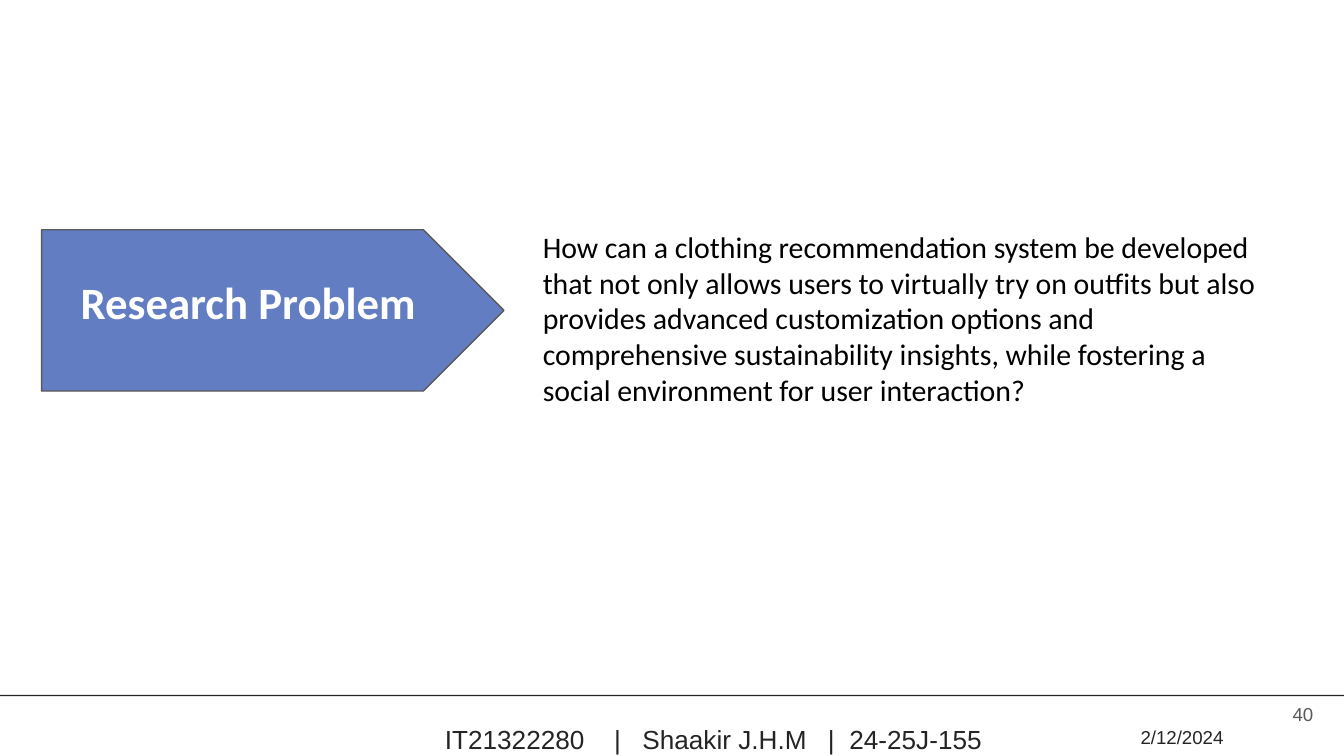
from dataclasses import dataclass

from lxml.etree import SubElement
from pptx import Presentation
from pptx.dml.color import RGBColor
from pptx.enum.shapes import MSO_SHAPE as Preset
from pptx.enum.text import MSO_ANCHOR as Anchor, MSO_AUTO_SIZE as AutoSize, PP_ALIGN as Align
from pptx.oxml.ns import qn
from pptx.util import Inches, Pt


@dataclass(frozen=True)
class Theme:
    """Colours, fonts and type sizes of the deck."""
    accent: str = "627DC2"
    dark: str = "242424"
    grey: str = "595959"
    white: str = "FFFFFF"
    black: str = "000000"
    body_font: str = "Calibri"
    footer_font: str = "Arial"
    title_size: int = 24
    body_size: int = 16
    footer_size: int = 14
    small_size: int = 10


THEME = Theme()


def place(shape, left, top, width, height):
    """Move and size a shape, in inches."""
    shape.left, shape.top = Inches(left), Inches(top)
    shape.width, shape.height = Inches(width), Inches(height)


def write(shape, text, *, font, size, color, bold=False, align=Align.LEFT,
          anchor=Anchor.TOP, inset=0.1, left_inset=None, spacing=1.0, tabs=()):
    """Write one formatted paragraph into a shape."""
    frame = shape.text_frame
    frame.word_wrap = True
    frame.auto_size = AutoSize.NONE
    frame.vertical_anchor = anchor
    frame.margin_top = frame.margin_right = frame.margin_bottom = Inches(inset)
    frame.margin_left = Inches(inset if left_inset is None else left_inset)
    para = frame.paragraphs[0]
    para.alignment = align
    para.line_spacing = spacing
    if tabs:
        stops = SubElement(para._p.get_or_add_pPr(), qn("a:tabLst"))
        for stop in tabs:
            SubElement(stops, qn("a:tab"), pos=str(Inches(stop)), algn="l")
    span = para.add_run()
    span.text = text
    span.font.name = font
    span.font.size = Pt(size)
    span.font.bold = bold
    span.font.color.rgb = RGBColor.from_string(color)


def add_text(page, box, text, **style):
    """Add a text box and write into it."""
    shape = page.shapes.add_textbox(*map(Inches, box))
    write(shape, text, **style)


def add_block(page, preset, box, fill, line=None):
    """Add a filled preset shape without shadow."""
    shape = page.shapes.add_shape(preset, *map(Inches, box))
    shape.shadow.inherit = False
    shape.fill.solid()
    shape.fill.fore_color.rgb = RGBColor.from_string(fill)
    if line:
        shape.line.color.rgb = RGBColor.from_string(line)
        shape.line.width = Pt(0.75)
    else:
        shape.line.fill.background()
    return shape


def add_heading(page, left, top, width, height):
    """Draw the arrow with the slide title on top of it."""
    arrow = add_block(page, Preset.PENTAGON, (left, top, width, height),
                      THEME.accent, THEME.grey)
    arrow.adjustments[0] = 0.5
    title = page.shapes.title
    place(title, left + 0.19, top + 0.23, width, 0.87)
    write(title, "Research Problem", font=THEME.body_font,
          size=THEME.title_size, color=THEME.white, bold=True)
    arrow.element.addnext(title.element)


def add_question(page, *box):
    """Write the research question."""
    add_text(page, box,
             "How can a clothing recommendation system be developed that not only "
             "allows users to virtually try on outfits but also provides advanced "
             "customization options and comprehensive sustainability insights, while "
             "fostering a social environment for user interaction?",
             font=THEME.body_font, size=THEME.body_size, color=THEME.black)


def add_footer(page, left, top, width):
    """Draw the rule, author line, date and page number."""
    add_block(page, Preset.RECTANGLE, (left, top, width, 0.01), THEME.dark)
    style = dict(font=THEME.footer_font, color=THEME.dark, inset=0, spacing=1.3)
    add_text(page, (left + 2.26, top + 0.14, 6.1, 0.24),
             "IT21322280\t|\tShaakir J.H.M\t|\t24-25J-155", size=THEME.footer_size,
             left_inset=1.05, tabs=(1.26, 1.47, 2.85, 3.01), **style)
    add_text(page, (left + 8.36, top + 0.18, 0.87, 0.17), "2/12/2024",
             size=THEME.small_size, align=Align.CENTER, **style)
    add_text(page, (left + 9.27, top - 0.07, 0.6, 0.43), "40",
             font=THEME.footer_font, size=THEME.small_size, color=THEME.grey,
             align=Align.RIGHT, anchor=Anchor.MIDDLE)


def main():
    """Build the slide and save it."""
    deck = Presentation()
    deck.slide_width = Inches(10)
    deck.slide_height = Inches(10 * 9 / 16)
    page = deck.slides.add_slide(deck.slide_layouts.get_by_name("Title Only"))
    add_footer(page, 0, 5.17, 10)
    add_heading(page, 0.31, 1.71, 3.44, 1.2)
    add_question(page, 3.94, 1.6, 5.58, 1.56)
    deck.save("out.pptx")


if __name__ == "__main__":
    main()
